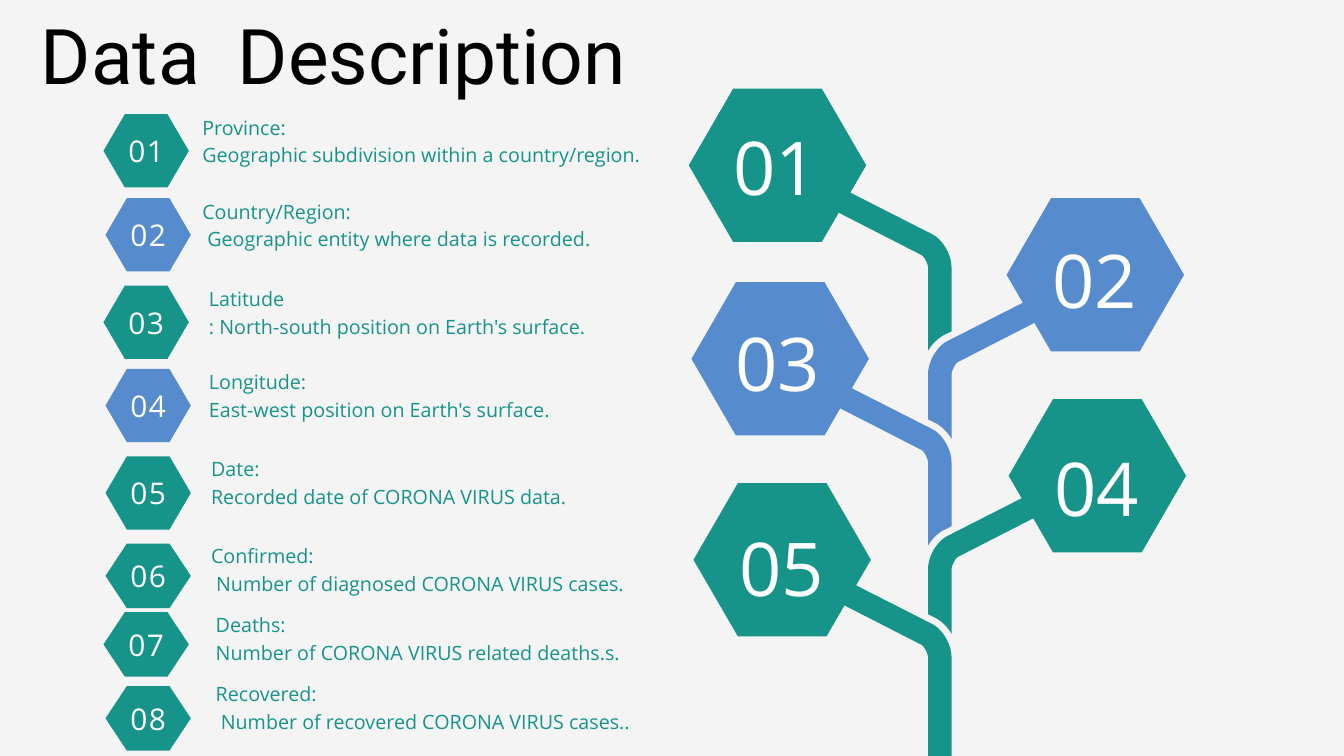
from dataclasses import dataclass

from pptx import Presentation
from pptx.dml.color import RGBColor
from pptx.enum.shapes import MSO_SHAPE
from pptx.enum.text import MSO_ANCHOR, MSO_AUTO_SIZE, PP_ALIGN
from pptx.util import Inches, Pt

HEXAGON = MSO_SHAPE.HEXAGON
TOP, MIDDLE = MSO_ANCHOR.TOP, MSO_ANCHOR.MIDDLE
LEFT, CENTER = PP_ALIGN.LEFT, PP_ALIGN.CENTER
GROW, FIXED = MSO_AUTO_SIZE.SHAPE_TO_FIT_TEXT, MSO_AUTO_SIZE.NONE


@dataclass(frozen=True)
class Theme:
    """Colours, fonts and type sizes of the slide."""
    background: str = "F4F4F4"
    teal: str = "16948A"
    blue: str = "568CCD"
    white: str = "FFFFFF"
    black: str = "000000"
    title_font: str = "Roboto"
    body_font: str = "Open Sans"
    title_size: float = 82.2
    node_size: float = 79.4
    badge_size: float = 32
    body_size: float = 21.1


THEME = Theme()
BRANCH_WIDTH = 1.71
BADGE_WIDTH = 1.27
NODE_WIDTH, NODE_HEIGHT = 2.64, 2.28

# number, badge left, top, height, text left, top, width, colour, lines
FIELDS = [
    ("01", 1.54, 1.7, 1.09, 3.01, 1.66, 7.05, THEME.teal,
     "Province:\nGeographic subdivision within a country/region."),
    ("02", 1.57, 2.95, 1.09, 3.01, 2.91, 8.41, THEME.blue,
     "Country/Region:\n Geographic entity where data is recorded."),
    ("03", 1.54, 4.25, 1.09, 3.11, 4.21, 7.3, THEME.teal,
     "Latitude\n: North-south position on Earth's surface."),
    ("04", 1.57, 5.49, 1.09, 3.11, 5.45, 7.6, THEME.blue,
     "Longitude:\nEast-west position on Earth's surface."),
    ("05", 1.57, 6.79, 1.09, 3.14, 6.74, 6.88, THEME.teal,
     "Date:\nRecorded date of CORONA VIRUS data."),
    ("06", 1.57, 8.09, 0.96, 3.14, 8.04, 6.88, THEME.teal,
     "Confirmed:\n Number of diagnosed CORONA VIRUS cases."),
    ("07", 1.54, 9.11, 0.96, 3.21, 9.06, 6.88, THEME.teal,
     "Deaths:\nNumber of CORONA VIRUS related deaths.s."),
    ("08", 1.57, 10.21, 0.96, 3.21, 10.09, 6.88, THEME.teal,
     "Recovered:\n Number of recovered CORONA VIRUS cases.."),
]

# number, hexagon left, top, number left, top, branch top, colour
LEFT_NODES = [
    ("01", 10.25, 1.32, 10.42, 1.59, 2.86, THEME.teal),
    ("03", 10.29, 4.2, 10.45, 4.51, 5.76, THEME.blue),
    ("05", 10.32, 7.19, 10.51, 7.56, 8.66, THEME.teal),
]
RIGHT_NODES = [
    ("02", 14.98, 2.95, 15.17, 3.27, 4.45, THEME.blue),
    ("04", 15.01, 5.94, 15.2, 6.36, 7.35, THEME.teal),
]

ARM = [(1.36, 1.12), (1.36, 1.07, 1.31, 0.97, 1.27, 0.94), (0, 0.29),
       (0.08, 0.21, 0.15, 0.11, 0.19, 0), (1.43, 0.63),
       (1.58, 0.71, 1.71, 0.93, 1.71, 1.12)]


def notched_foot(top):
    """Return the curved lower end of a branch that meets the next one."""
    return [(1.71, top), (1.59, top + 0.06),
            (1.5, top + 0.11, 1.42, top + 0.19, 1.36, top + 0.29)]


def flatten(segments, steps=10):
    """Turn line and cubic curve segments into plain points."""
    points = []
    for segment in segments:
        if len(segment) == 2:
            points.append(segment)
            continue
        curve = [points[-1], segment[:2], segment[2:4], segment[4:]]
        for step in range(1, steps + 1):
            t = step / steps
            weights = ((1 - t) ** 3, 3 * t * (1 - t) ** 2, 3 * t * t * (1 - t), t ** 3)
            points.append(tuple(sum(w * point[axis] for w, point in zip(weights, curve))
                                for axis in (0, 1)))
    return points


def paint(shape, color):
    """Give a shape a flat fill without line or shadow."""
    shape.fill.solid()
    shape.fill.fore_color.rgb = RGBColor.from_string(color)
    shape.line.fill.background()
    shape.shadow.inherit = False


def add_branch(page, left, top, color, foot, mirrored=False):
    """Draw a bent branch leading from a node into the stem."""
    points = [(Inches(left + (BRANCH_WIDTH - x if mirrored else x)), Inches(top + y))
              for x, y in flatten(ARM + foot)]
    builder = page.shapes.build_freeform(*points[0])
    builder.add_line_segments(points[1:], close=True)
    paint(builder.convert_to_shape(), color)


def add_hexagon(page, left, top, width, height, color):
    """Draw a hexagon whose flat side is half its width."""
    shape = page.shapes.add_shape(HEXAGON, Inches(left), Inches(top),
                                  Inches(width), Inches(height))
    shape.adjustments[0] = 0.25 * width / height
    paint(shape, color)


def add_text(page, text, left, top, width, height, *, size, leading, color,
             font=THEME.body_font, align=LEFT, anchor=TOP, inset=0, tracking=0, fit=GROW):
    """Add a text box with one paragraph per line of text."""
    box = page.shapes.add_textbox(Inches(left), Inches(top), Inches(width), Inches(height))
    frame = box.text_frame
    frame.word_wrap = True
    frame.auto_size = fit
    frame.vertical_anchor = anchor
    frame.margin_left = frame.margin_right = Inches(inset)
    frame.margin_top = frame.margin_bottom = Inches(inset)
    for index, line in enumerate(text.split("\n")):
        para = frame.add_paragraph() if index else frame.paragraphs[0]
        para.alignment = align
        para.line_spacing = Pt(leading)
        span = para.add_run()
        span.text = line
        span.font.name = font
        span.font.size = Pt(size)
        span.font.color.rgb = RGBColor.from_string(color)
        if tracking:
            span._r.get_or_add_rPr().set("spc", str(round(tracking * 100)))


def add_node(page, number, left, top, text_left, text_top, color):
    """Draw a large numbered hexagon of the tree."""
    add_hexagon(page, left, top, NODE_WIDTH, NODE_HEIGHT, color)
    add_text(page, number, text_left, text_top, 2.25, 1.49, size=THEME.node_size,
             leading=111.1, color=THEME.white, align=CENTER)


def add_field(page, number, left, top, height, text_left, text_top, width, color, text):
    """Add a numbered badge with the description of one data field."""
    add_hexagon(page, left, top, BADGE_WIDTH, height, color)
    add_text(page, number, left + 0.18, top - 0.09, 0.91, height + 0.09,
             size=THEME.badge_size, leading=44.8, color=THEME.white, align=CENTER,
             anchor=MIDDLE, inset=0.06, tracking=1.6, fit=FIXED)
    add_text(page, text, text_left, text_top, width, 0.8, size=THEME.body_size,
             leading=29.6, color=THEME.teal)


def main():
    """Build the slide and save the deck."""
    deck = Presentation()
    deck.slide_width, deck.slide_height = Inches(20), Inches(11.25)
    page = deck.slides.add_slide(deck.slide_layouts[6])
    page.background.fill.solid()
    page.background.fill.fore_color.rgb = RGBColor.from_string(THEME.background)

    for number, left, top, text_left, text_top, branch_top, color in LEFT_NODES:
        last = number == LEFT_NODES[-1][0]
        foot = [(1.71, 2.59), (1.36, 2.59)] if last else notched_foot(2.07)
        add_branch(page, 12.45, branch_top, color, foot)
        add_node(page, number, left, top, text_left, text_top, color)
    for number, left, top, text_left, text_top, branch_top, color in RIGHT_NODES:
        add_branch(page, 13.81, branch_top, color, notched_foot(1.79), mirrored=True)
        add_node(page, number, left, top, text_left, text_top, color)
    for field in FIELDS:
        add_field(page, *field)
    add_text(page, "Data  Description", 0.61, -0.11, 10.64, 1.61, size=THEME.title_size,
             leading=115, color=THEME.black, font=THEME.title_font)
    deck.save("out.pptx")


if __name__ == "__main__":
    main()
